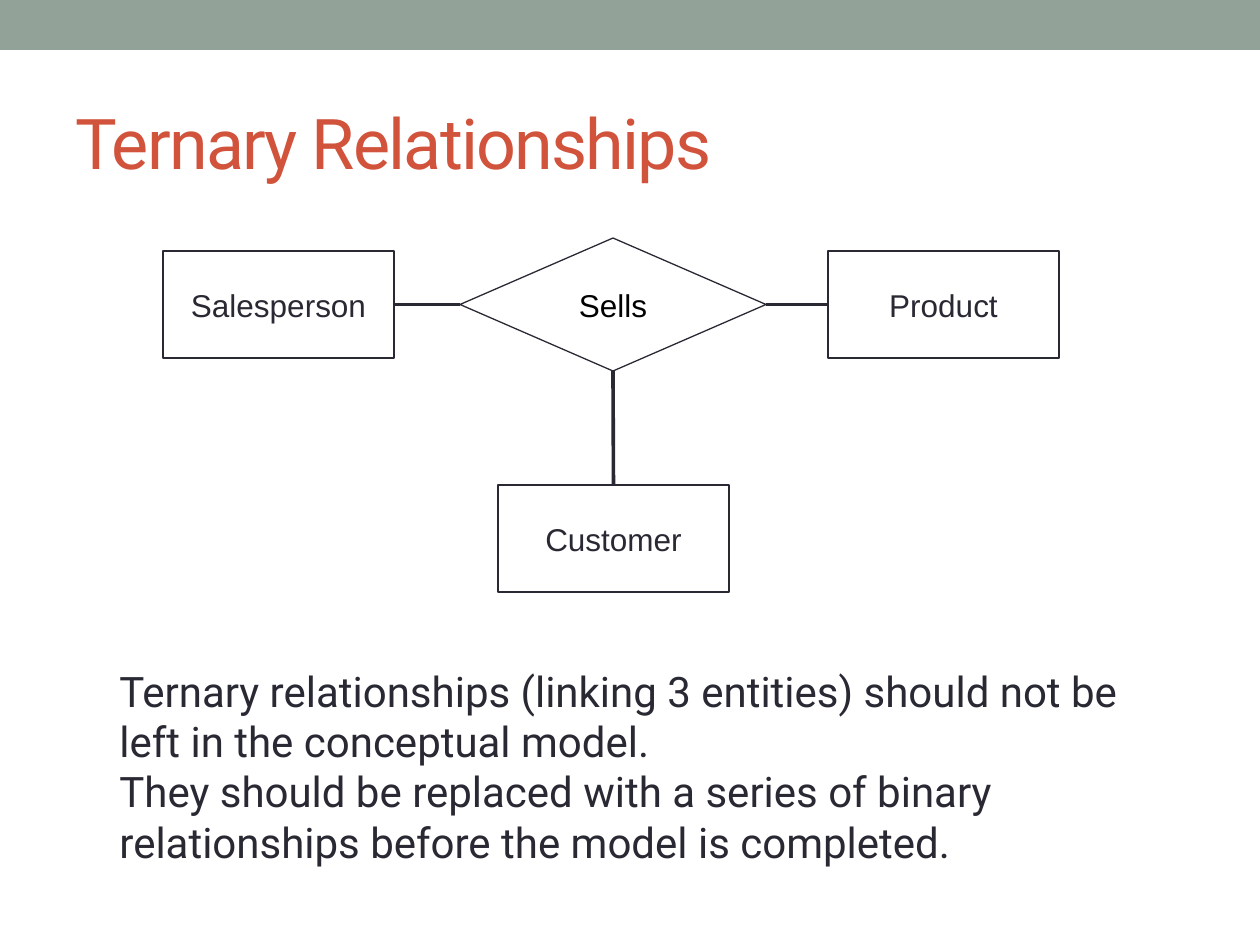
from pptx import Presentation
from pptx.dml.color import RGBColor
from pptx.enum.shapes import MSO_CONNECTOR, MSO_SHAPE
from pptx.enum.text import MSO_ANCHOR, PP_ALIGN
from pptx.oxml.ns import qn
from pptx.util import Emu, Pt
from lxml.etree import SubElement

SAGE = RGBColor(0x93, 0xA2, 0x99)
RUST = RGBColor(0xD2, 0x53, 0x3C)
INK = RGBColor(0x29, 0x29, 0x34)
BLACK = RGBColor(0x00, 0x00, 0x00)

PX_PER_INCH = 126
TOP, LEFT, BOTTOM, RIGHT = range(4)


def px(length):
    return Emu(round(length * 914400 / PX_PER_INCH))


def write(frame, *lines, font="Arial", size=18, color=INK,
          align=PP_ALIGN.LEFT, anchor=MSO_ANCHOR.TOP, spacing=0):
    frame.word_wrap = True
    frame.vertical_anchor = anchor
    for index, line in enumerate(lines):
        para = frame.add_paragraph() if index else frame.paragraphs[0]
        para.alignment = align
        span = para.add_run()
        span.text = line
        span.font.name = font
        span.font.size = Pt(size)
        span.font.color.rgb = color
        if spacing:
            span.font._element.set("spc", str(spacing * 100))


class Diagram:
    heading_font = "Roboto"
    outline = Pt(0.75)
    link_width = Pt(2.08)

    def __init__(self, page):
        self.page = page

    def band(self, left, top, width, height):
        box = self.page.shapes.add_shape(
            MSO_SHAPE.RECTANGLE, px(left), px(top), px(width), px(height))
        box.shadow.inherit = False
        box.fill.solid()
        box.fill.fore_color.rgb = SAGE
        box.line.fill.background()

    def text(self, left, top, width, height, *lines, **style):
        box = self.page.shapes.add_textbox(
            px(left), px(top), px(width), px(height))
        write(box.text_frame, *lines, font=self.heading_font, **style)

    def node(self, left, top, width, height, label,
             kind=MSO_SHAPE.RECTANGLE, color=INK):
        box = self.page.shapes.add_shape(
            kind, px(left), px(top), px(width), px(height))
        box.shadow.inherit = False
        box.fill.background()
        box.line.color.rgb = INK
        box.line.width = self.outline
        write(box.text_frame, label, color=color,
              align=PP_ALIGN.CENTER, anchor=MSO_ANCHOR.MIDDLE)
        return box

    def entity(self, left, top, label):
        return self.node(left, top, 231, 107, label)

    def link(self, start, start_side, end, end_side):
        line = self.page.shapes.add_connector(MSO_CONNECTOR.STRAIGHT, 0, 0, 0, 0)
        line.begin_connect(start, start_side)
        line.end_connect(end, end_side)
        line.line.color.rgb = INK
        line.line.width = self.link_width
        SubElement(line._element.spPr, qn("a:effectLst"))


def main():
    deck = Presentation()
    deck.slide_width, deck.slide_height = px(1260), px(945)
    diagram = Diagram(deck.slides.add_slide(deck.slide_layouts[6]))

    # Top band and title
    diagram.band(0, 0, 1260, 50)
    diagram.text(63, 73, 1134, 136, "Ternary Relationships", size=40,
                 color=RUST, anchor=MSO_ANCHOR.MIDDLE, spacing=-1)

    # Entities around the relationship
    salesperson = diagram.entity(163, 251, "Salesperson")
    product = diagram.entity(828, 251, "Product")
    sells = diagram.node(460, 238, 306, 133, "Sells",
                         kind=MSO_SHAPE.DIAMOND, color=BLACK)
    customer = diagram.entity(498, 485, "Customer")

    # Links
    diagram.link(salesperson, RIGHT, sells, LEFT)
    diagram.link(sells, RIGHT, product, LEFT)
    diagram.link(sells, BOTTOM, customer, TOP)

    # Explanation
    diagram.text(
        107, 659, 1090, 217,
        "Ternary relationships (linking 3 entities) should not be left in "
        "the conceptual model.",
        "They should be replaced with a series of binary relationships "
        "before the model is completed.",
        size=24)

    deck.save("out.pptx")


if __name__ == "__main__":
    main()
